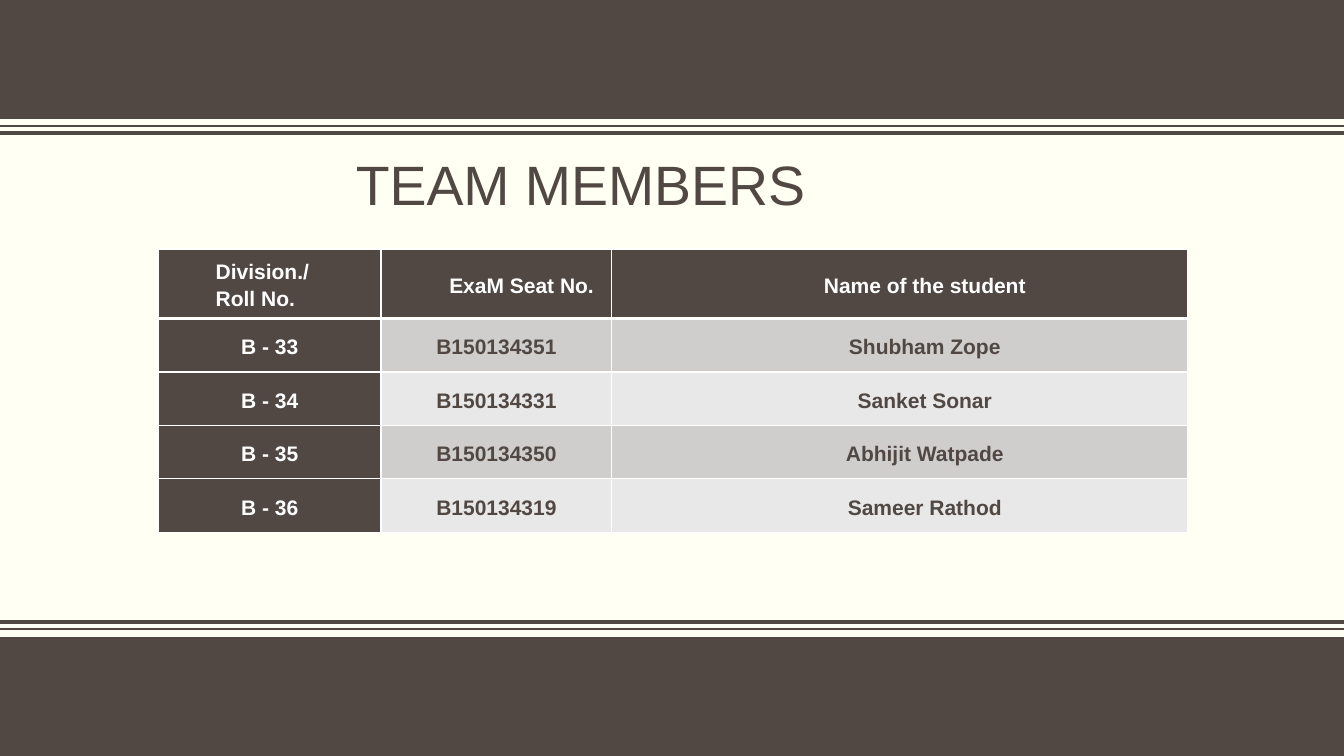
from dataclasses import dataclass

from lxml.etree import SubElement
from pptx import Presentation
from pptx.dml.color import RGBColor
from pptx.enum.shapes import MSO_CONNECTOR, MSO_SHAPE
from pptx.enum.text import MSO_ANCHOR, PP_ALIGN
from pptx.oxml.ns import qn
from pptx.util import Emu, Inches, Pt

GRID_COLUMNS, GRID_ROWS = 133.33, 75
UNIT = Inches(0.1)
BROWN, CREAM, WHITE = "514843", "FFFFF3", "FFFFFF"
STRIPES = ("CFCECD", "E8E8E8")
FONT = "Arial"


@dataclass(frozen=True)
class Band:
    top: float
    height: float


@dataclass(frozen=True)
class Rule:
    row: float
    weight: float


@dataclass(frozen=True)
class Entry:
    text: str
    fill: str
    color: str
    align: PP_ALIGN = PP_ALIGN.CENTER
    indent: float = 0


@dataclass(frozen=True)
class Student:
    roll: str
    seat: str
    name: str


BANDS = (Band(0, 11.8), Band(63.2, 11.8))
RULES = (Rule(12.5, 1), Rule(13.2, 3), Rule(61.7, 3), Rule(62.4, 1))
COLUMN_WIDTHS = (22.1, 22.9, 57.1)
HEADER_HEIGHT, STUDENT_HEIGHT = 6.9, 5.3
HEADINGS = (
    Entry("Division./\vRoll No.", BROWN, WHITE, PP_ALIGN.LEFT, 5),
    Entry("ExaM Seat No.", BROWN, WHITE, indent=5),
    Entry("Name of the student", BROWN, WHITE, indent=5),
)
STUDENTS = (
    Student("B - 33", "B150134351", "Shubham Zope"),
    Student("B - 34", "B150134331", "Sanket Sonar"),
    Student("B - 35", "B150134350", "Abhijit Watpade"),
    Student("B - 36", "B150134319", "Sameer Rathod"),
)


def grid(units: float) -> Emu:
    return Emu(round(units * UNIT))


def rgb(value: str) -> RGBColor:
    return RGBColor.from_string(value)


def apply(target, formats: dict) -> None:
    for attribute, value in formats.items():
        setattr(target, attribute, value)


def paint(fill, color: str) -> None:
    fill.solid()
    fill.fore_color.rgb = rgb(color)


def write(frame, text: str, size: float, color: str, bold: bool, paragraph_format: dict):
    paragraph = frame.paragraphs[0]
    paragraph.text = text
    apply(paragraph, paragraph_format)
    apply(paragraph.font, {"name": FONT, "size": Pt(size), "bold": bold})
    paragraph.font.color.rgb = rgb(color)
    return paragraph


def draw_band(slide, band: Band) -> None:
    shape = slide.shapes.add_shape(
        MSO_SHAPE.RECTANGLE, 0, grid(band.top), grid(GRID_COLUMNS), grid(band.height)
    )
    shape.shadow.inherit = False
    paint(shape.fill, BROWN)
    shape.line.fill.background()


def draw_rule(slide, rule: Rule) -> None:
    line = slide.shapes.add_connector(
        MSO_CONNECTOR.STRAIGHT, 0, grid(rule.row), grid(GRID_COLUMNS), grid(rule.row)
    )
    line.line.width = Pt(rule.weight)
    line.line.color.rgb = rgb(BROWN)
    SubElement(line._element.spPr, qn("a:effectLst"))


def draw_title(slide) -> None:
    title = slide.shapes.add_textbox(grid(35.3), grid(15.5), grid(62.7), grid(6.3))
    apply(title.text_frame, {
        "word_wrap": True,
        "vertical_anchor": MSO_ANCHOR.MIDDLE,
        "margin_left": 0,
        "margin_right": 0,
    })
    write(title.text_frame, "TEAM MEMBERS", 39.6, BROWN, False, {"line_spacing": 0.9})


def draw_borders(cell, weights: dict[str, float]) -> None:
    properties = cell._tc.get_or_add_tcPr()
    for side, weight in weights.items():
        border = SubElement(properties, qn(f"a:ln{side}"), w=str(Pt(weight)))
        fill = SubElement(border, qn("a:solidFill"))
        SubElement(fill, qn("a:srgbClr"), val=WHITE)


def draw_entry(cell, entry: Entry, row: int) -> None:
    draw_borders(cell, {
        "L": 1, "R": 1, "T": 3 if row == 1 else 1, "B": 3 if row == 0 else 1,
    })
    paint(cell.fill, entry.fill)
    apply(cell, {
        "vertical_anchor": MSO_ANCHOR.MIDDLE,
        "margin_left": grid(0.7),
        "margin_right": grid(0.7),
        "margin_top": grid(0.1),
        "margin_bottom": 0,
    })
    paragraph = write(
        cell.text_frame, entry.text, 15, entry.color, True,
        {"alignment": entry.align, "line_spacing": 1.15},
    )
    paragraph._p.get_or_add_pPr().set("marL", str(grid(entry.indent)))


def student_entries(student: Student, stripe: str) -> tuple[Entry, ...]:
    return (
        Entry(student.roll, BROWN, WHITE),
        Entry(student.seat, stripe, BROWN),
        Entry(student.name, stripe, BROWN, indent=5),
    )


def draw_members(slide) -> None:
    entries = [HEADINGS] + [
        student_entries(student, STRIPES[index % len(STRIPES)])
        for index, student in enumerate(STUDENTS)
    ]
    heights = [HEADER_HEIGHT] + [STUDENT_HEIGHT] * len(STUDENTS)
    members = slide.shapes.add_table(
        len(entries), len(COLUMN_WIDTHS), grid(15.7), grid(24.7),
        grid(sum(COLUMN_WIDTHS)), grid(sum(heights)),
    ).table
    apply(members, {"first_row": False, "horz_banding": False})
    for column, width in zip(members.columns, COLUMN_WIDTHS):
        column.width = grid(width)
    for row, height in zip(members.rows, heights):
        row.height = grid(height)
    for row, row_entries in enumerate(entries):
        for column, entry in enumerate(row_entries):
            draw_entry(members.cell(row, column), entry, row)


def main() -> None:
    deck = Presentation()
    apply(deck, {"slide_width": grid(GRID_COLUMNS), "slide_height": grid(GRID_ROWS)})
    slide = deck.slides.add_slide(deck.slide_layouts[6])
    paint(slide.background.fill, CREAM)
    for band in BANDS:
        draw_band(slide, band)
    for rule in RULES:
        draw_rule(slide, rule)
    draw_title(slide)
    draw_members(slide)
    deck.save("out.pptx")


if __name__ == "__main__":
    main()
